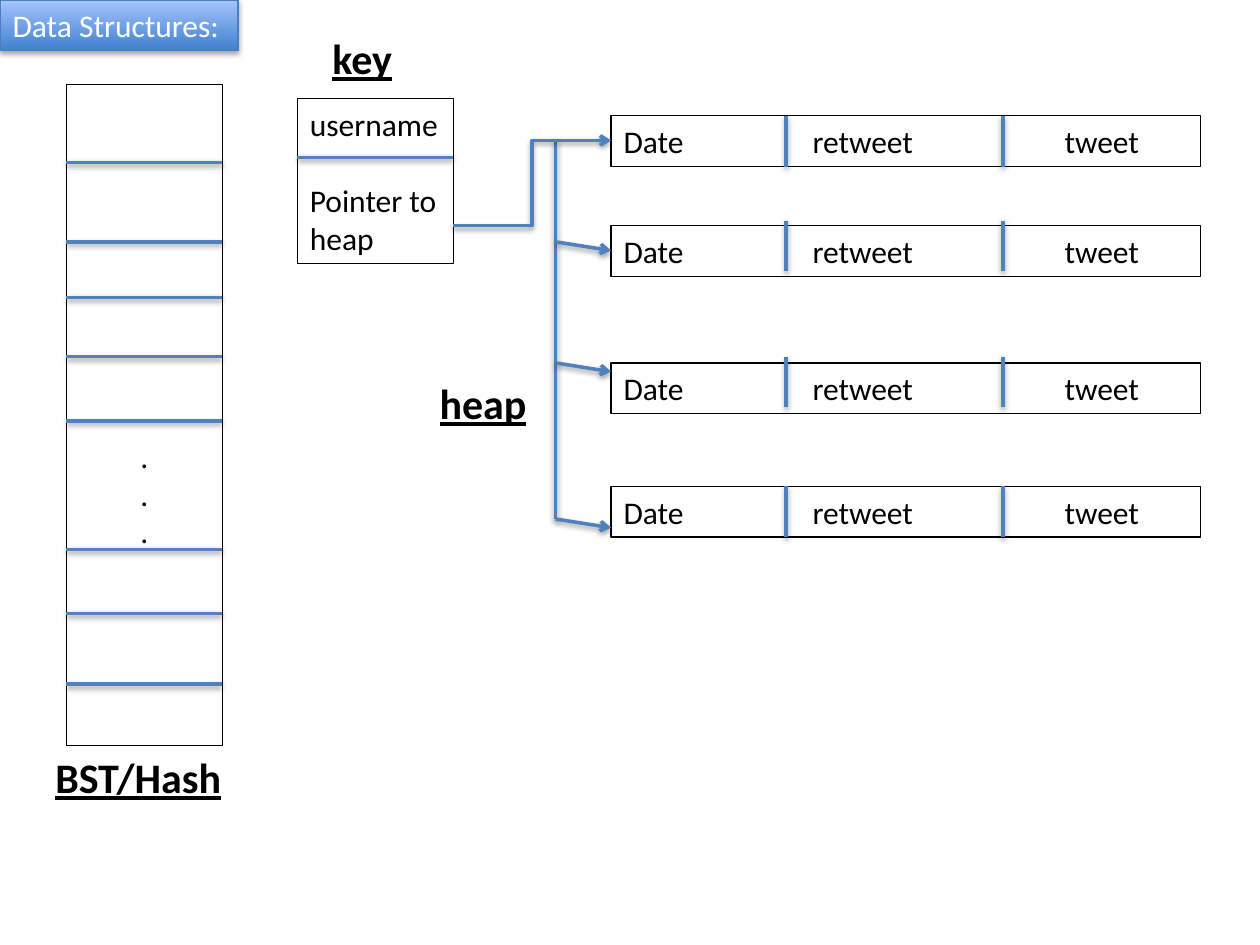
from dataclasses import dataclass
from typing import Any

from lxml.etree import SubElement
from pptx import Presentation
from pptx.dml.color import RGBColor
from pptx.enum.shapes import MSO_CONNECTOR, MSO_SHAPE
from pptx.enum.text import MSO_ANCHOR, MSO_AUTO_SIZE, PP_ALIGN
from pptx.oxml.ns import qn
from pptx.util import Pt


@dataclass(frozen=True)
class Theme:
    """Colours, font and type sizes of the slide."""
    font: str = "Calibri"
    black: RGBColor = RGBColor(0, 0, 0)
    white: RGBColor = RGBColor(255, 255, 255)
    blue: RGBColor = RGBColor(0x4F, 0x81, 0xBD)
    title_line: RGBColor = RGBColor(0x4B, 0x7E, 0xBC)
    title_dark: RGBColor = RGBColor(0x3F, 0x80, 0xCE)
    title_light: RGBColor = RGBColor(0xA4, 0xC4, 0xFF)
    body_size: float = 18
    label_size: float = 24
    outline: float = 0.75
    stroke: float = 2


@dataclass(frozen=True)
class Box:
    """A rectangle in points."""
    left: float
    top: float
    width: float
    height: float

    @property
    def right(self) -> float:
        return self.left + self.width

    @property
    def lengths(self) -> list:
        return [Pt(value) for value in (self.left, self.top, self.width, self.height)]


@dataclass(frozen=True)
class HeapRecord:
    """Top of a record and the top of its dividers."""
    top: float
    divider_top: float


@dataclass(frozen=True)
class Label:
    """An underlined heading and its place."""
    text: str
    box: Box


THEME = Theme()
TITLE = Box(0, 0, 136, 29)
TABLE = Box(38, 48.2, 89, 378)
TABLE_RULES = (92.9, 138.2, 169.9, 203.8, 240.5, 313.9, 350.6, 391)
DOTS_INSET = 201.4
KEY = Box(170, 56.2, 89, 94.3)
KEY_RULE = 90
POINTER_TOP = 129
RECORD_LEFT, RECORD_WIDTH, RECORD_HEIGHT = 349.2, 337, 29
RECORDS = (HeapRecord(66.2, 66.2), HeapRecord(128.9, 126),
           HeapRecord(207.4, 203.8), HeapRecord(277.9, 277.9))
DIVIDERS = (449.3, 573.1)
FIELD_TABS = (108, 252)
SPINE_X, SPINE_TOP = 317.5, 80.3
BRANCHES = (138.2, 207.4, 296.6)
BRANCH_DROP = 5
LABELS = (Label("BST/Hash", Box(24.5, 426.2, 132, 36)),
          Label("key", Box(182.9, 15.1, 62, 36)),
          Label("heap", Box(244.1, 212.4, 71.3, 36)))


def apply_format(target: Any, values: dict) -> None:
    """Set each named attribute on the target."""
    for name, value in values.items():
        setattr(target, name, value)


def add_shadow(shape: Any, distance: float, opacity: int) -> None:
    """Give a shape a soft black shadow that falls straight down."""
    effects = SubElement(shape._element.spPr, qn("a:effectLst"))
    shadow = SubElement(effects, qn("a:outerShdw"), blurRad=str(Pt(3.15)),
                        dist=str(Pt(distance)), dir="5400000", rotWithShape="0")
    black = SubElement(shadow, qn("a:srgbClr"), val=str(THEME.black))
    SubElement(black, qn("a:alpha"), val=str(opacity * 1000))


def write_text(shape: Any, lines: list[str], size: float, color: RGBColor = THEME.black,
               align: PP_ALIGN = PP_ALIGN.LEFT, heading: bool = False) -> list:
    """Fill a shape with paragraphs and return them."""
    frame = shape.text_frame
    apply_format(frame, {"word_wrap": True, "auto_size": MSO_AUTO_SIZE.NONE,
                         "vertical_anchor": MSO_ANCHOR.TOP})
    frame.text = "\n".join(lines)
    for paragraph in frame.paragraphs:
        paragraph.alignment = align
        for run in paragraph.runs:
            apply_format(run.font, {"name": THEME.font, "size": Pt(size),
                                    "bold": heading, "underline": heading})
            run.font.color.rgb = color
    return list(frame.paragraphs)


def add_frame(slide: Any, box: Box) -> Any:
    """Add an unfilled rectangle with a thin black outline."""
    shape = slide.shapes.add_shape(MSO_SHAPE.RECTANGLE, *box.lengths)
    shape.shadow.inherit = False
    shape.fill.background()
    shape.line.color.rgb = THEME.black
    shape.line.width = Pt(THEME.outline)
    return shape


def add_line(slide: Any, start: tuple[float, float], end: tuple[float, float],
             arrow: bool = False, kind: MSO_CONNECTOR = MSO_CONNECTOR.STRAIGHT) -> None:
    """Add a blue connector, with an arrowhead if asked."""
    connector = slide.shapes.add_connector(kind, *[Pt(value) for value in start + end])
    connector.line.color.rgb = THEME.blue
    connector.line.width = Pt(THEME.stroke)
    if arrow:
        SubElement(connector.line._get_or_add_ln(), qn("a:tailEnd"), type="arrow")
    add_shadow(connector, 1.57, 38)


def add_title(slide: Any) -> None:
    """Turn the title placeholder into the gradient banner."""
    title = slide.shapes.title
    apply_format(title, dict(zip(("left", "top", "width", "height"), TITLE.lengths)))
    title.fill.gradient()
    title.fill.gradient_angle = 90
    for stop, color in zip(title.fill.gradient_stops, (THEME.title_dark, THEME.title_light)):
        stop.color.rgb = color
    title.line.color.rgb = THEME.title_line
    title.line.width = Pt(THEME.outline)
    add_shadow(title, 1.81, 35)
    write_text(title, ["Data Structures:"], THEME.body_size, THEME.white)


def add_table_column(slide: Any) -> None:
    """Draw the tall BST/Hash column with its cells and dots."""
    column = add_frame(slide, TABLE)
    write_text(column, ["."] * 3, THEME.body_size, align=PP_ALIGN.CENTER)
    column.text_frame.margin_top = Pt(DOTS_INSET)
    for y in TABLE_RULES:
        add_line(slide, (TABLE.left, y), (TABLE.right, y))


def add_key(slide: Any) -> None:
    """Draw the key box with its two fields."""
    key = add_frame(slide, KEY)
    paragraphs = write_text(key, ["username", "Pointer to heap"], THEME.body_size)
    paragraphs[1].space_before = Pt(22)
    add_line(slide, (KEY.left, KEY_RULE), (KEY.right, KEY_RULE))


def add_record(slide: Any, record: HeapRecord) -> None:
    """Draw one heap record with its fields and dividers."""
    shape = add_frame(slide, Box(RECORD_LEFT, record.top, RECORD_WIDTH, RECORD_HEIGHT))
    paragraph = write_text(shape, ["Date\tretweet\ttweet"], THEME.body_size)[0]
    tabs = SubElement(paragraph._p.get_or_add_pPr(), qn("a:tabLst"))
    for position in FIELD_TABS:
        SubElement(tabs, qn("a:tab"), pos=str(Pt(position)), algn="l")
    for x in DIVIDERS:
        add_line(slide, (x, record.divider_top), (x, record.divider_top + RECORD_HEIGHT))


def add_pointers(slide: Any) -> None:
    """Link the key to the heap records."""
    add_line(slide, (SPINE_X, SPINE_TOP), (SPINE_X, BRANCHES[-1]))
    add_line(slide, (KEY.right, POINTER_TOP), (RECORD_LEFT, SPINE_TOP),
             arrow=True, kind=MSO_CONNECTOR.ELBOW)
    for y in BRANCHES:
        add_line(slide, (SPINE_X, y), (RECORD_LEFT, y + BRANCH_DROP), arrow=True)


def main() -> None:
    """Build and save the slide."""
    presentation = Presentation()
    apply_format(presentation, {"slide_width": Pt(720), "slide_height": Pt(540)})
    slide = presentation.slides.add_slide(presentation.slide_layouts[5])
    add_title(slide)
    add_table_column(slide)
    add_key(slide)
    for record in RECORDS:
        add_record(slide, record)
    add_pointers(slide)
    for label in LABELS:
        text_box = slide.shapes.add_textbox(*label.box.lengths)
        write_text(text_box, [label.text], THEME.label_size, heading=True)
    presentation.save("out.pptx")


main()
